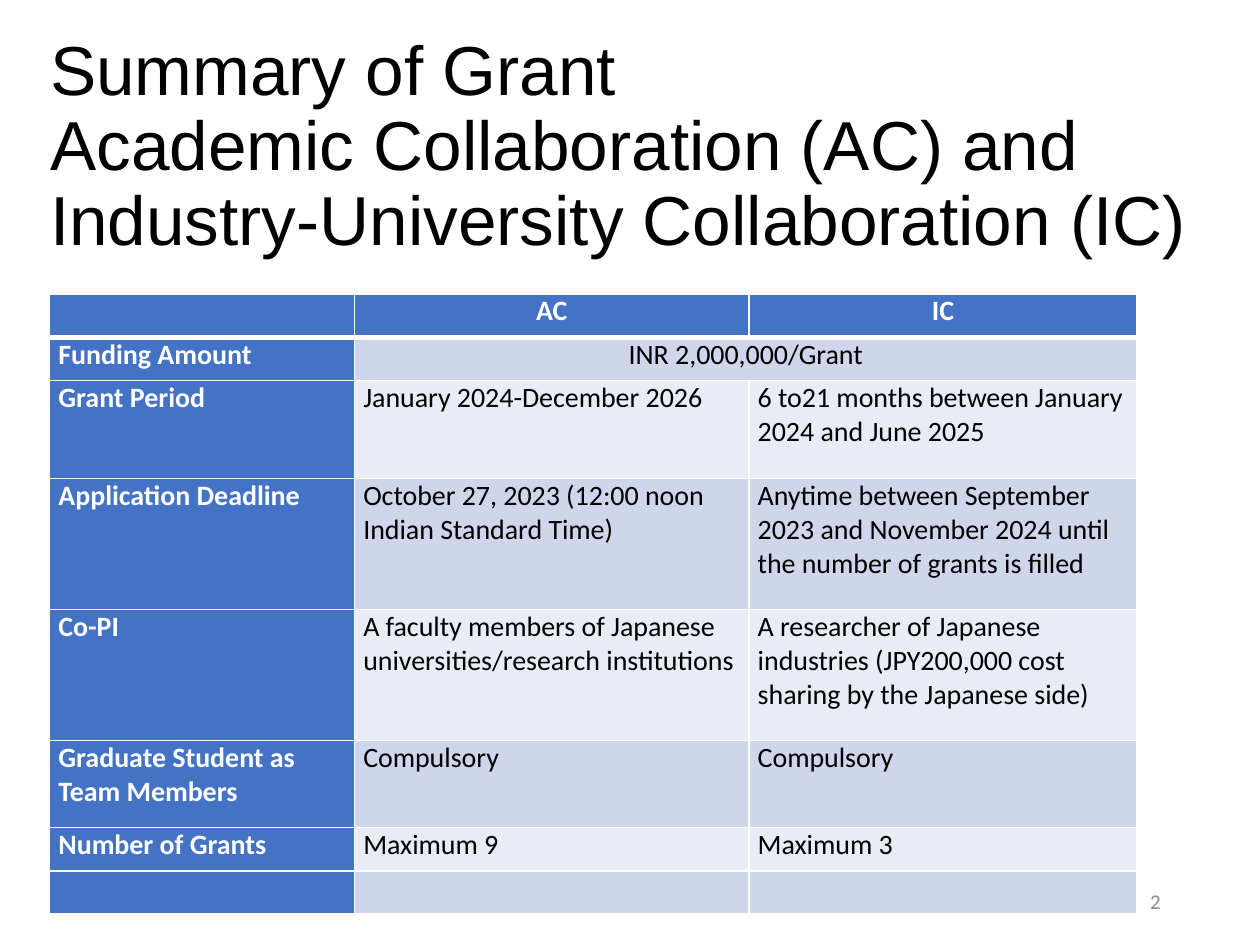
import pptx
import pptx.util
import pptx.dml.color
import pptx.enum.text
import pptx.oxml
import pptx.oxml.ns

Pt = pptx.util.Pt
ALIGN = pptx.enum.text.PP_ALIGN
HUES = {"blue": "4472C4", "band": "CFD5EA", "pale": "E9EBF5",
        "white": "FFFFFF", "black": "000000", "gray": "8C8C8C"}
COLS = [174.2, 225.4, 221.8]
ROWS = [
    (24.8, ["", "AC", "IC"]),
    (24.8, ["Funding Amount", "INR 2,000,000/Grant", ""]),
    (56, ["Grant Period", "January 2024-December 2026",
          "6 to21 months between January 2024 and June 2025"]),
    (74.8, ["Application Deadline",
            "October 27, 2023 (12:00 noon Indian Standard Time)",
            "Anytime between September 2023 and November 2024 until the number of grants is filled"]),
    (74.8, ["Co-PI",
            "A faculty members of Japanese universities/research institutions",
            "A researcher of Japanese industries (JPY200,000 cost sharing by the Japanese side)"]),
    (49.8, ["Graduate Student as Team Members", "Compulsory", "Compulsory"]),
    (24.8, ["Number of Grants", "Maximum 9", "Maximum 3"]),
    (24.8, ["", "", ""]),
]


def tint(name):
    return pptx.dml.color.RGBColor.from_string(HUES[name])


def add_run(para, text, size, face, hue, bold=False):
    run = para.add_run()
    run.text = text
    run.font.size = Pt(size)
    run.font.name = face
    run.font.bold = bold
    run.font.color.rgb = tint(hue)


def add_box(slide, box):
    frame = slide.shapes.add_textbox(*map(Pt, box)).text_frame
    frame.word_wrap = True
    frame.vertical_anchor = pptx.enum.text.MSO_ANCHOR.MIDDLE
    return frame.paragraphs[0]


def add_title(slide, box):
    para = add_box(slide, box)
    para.line_spacing = 0.9
    add_run(para, "Summary of Grant", 39.6, "Arial", "black")
    para.add_line_break()
    add_run(para, "Academic Collaboration (AC) and Industry-University Collaboration (IC)",
            39.6, "Arial", "black")


def add_page(slide, box):
    para = add_box(slide, box)
    para.alignment = ALIGN.RIGHT
    add_run(para, "2", 12, "Calibri", "gray")


def set_edge(cell, side, width):
    line = pptx.oxml.parse_xml(
        f'<a:{side} {pptx.oxml.ns.nsdecls("a")} w="{Pt(width)}"><a:solidFill>'
        f'<a:srgbClr val="{HUES["white"]}"/></a:solidFill></a:{side}>')
    cell._tc.get_or_add_tcPr().append(line)


def fill_cell(cell, text, row, col):
    head = row == 0 or col == 0
    cell.margin_left = cell.margin_right = Pt(5)
    cell.margin_top = cell.margin_bottom = 0
    for side in ("lnL", "lnR", "lnT", "lnB"):
        thick = (row, side) in ((0, "lnB"), (1, "lnT"))
        set_edge(cell, side, 3 if thick else 1)
    cell.fill.solid()
    cell.fill.fore_color.rgb = tint("blue" if head else "band" if row % 2 else "pale")
    if text:
        para = cell.text_frame.paragraphs[0]
        if row == 0 or cell.is_merge_origin:
            para.alignment = ALIGN.CENTER
        add_run(para, text, 16, "Calibri", "white" if head else "black", head)


def add_grid(slide, box):
    grid = slide.shapes.add_table(len(ROWS), len(COLS), *map(Pt, box)).table
    for col, width in enumerate(COLS):
        grid.columns[col].width = Pt(width)
    grid.cell(1, 1).merge(grid.cell(1, 2))
    for row, (height, texts) in enumerate(ROWS):
        grid.rows[row].height = Pt(height)
        for col, text in enumerate(texts):
            fill_cell(grid.cell(row, col), text, row, col)


def main():
    deck = pptx.Presentation()
    deck.slide_width, deck.slide_height = Pt(720), Pt(540)
    slide = deck.slides.add_slide(deck.slide_layouts[6])
    add_title(slide, (21.6, 13, 682.6, 143.3))
    add_grid(slide, (28.4, 168, sum(COLS), sum(height for height, _ in ROWS)))
    add_page(slide, (508.3, 500.4, 162, 28.8))
    deck.save("out.pptx")


if __name__ == "__main__":
    main()
